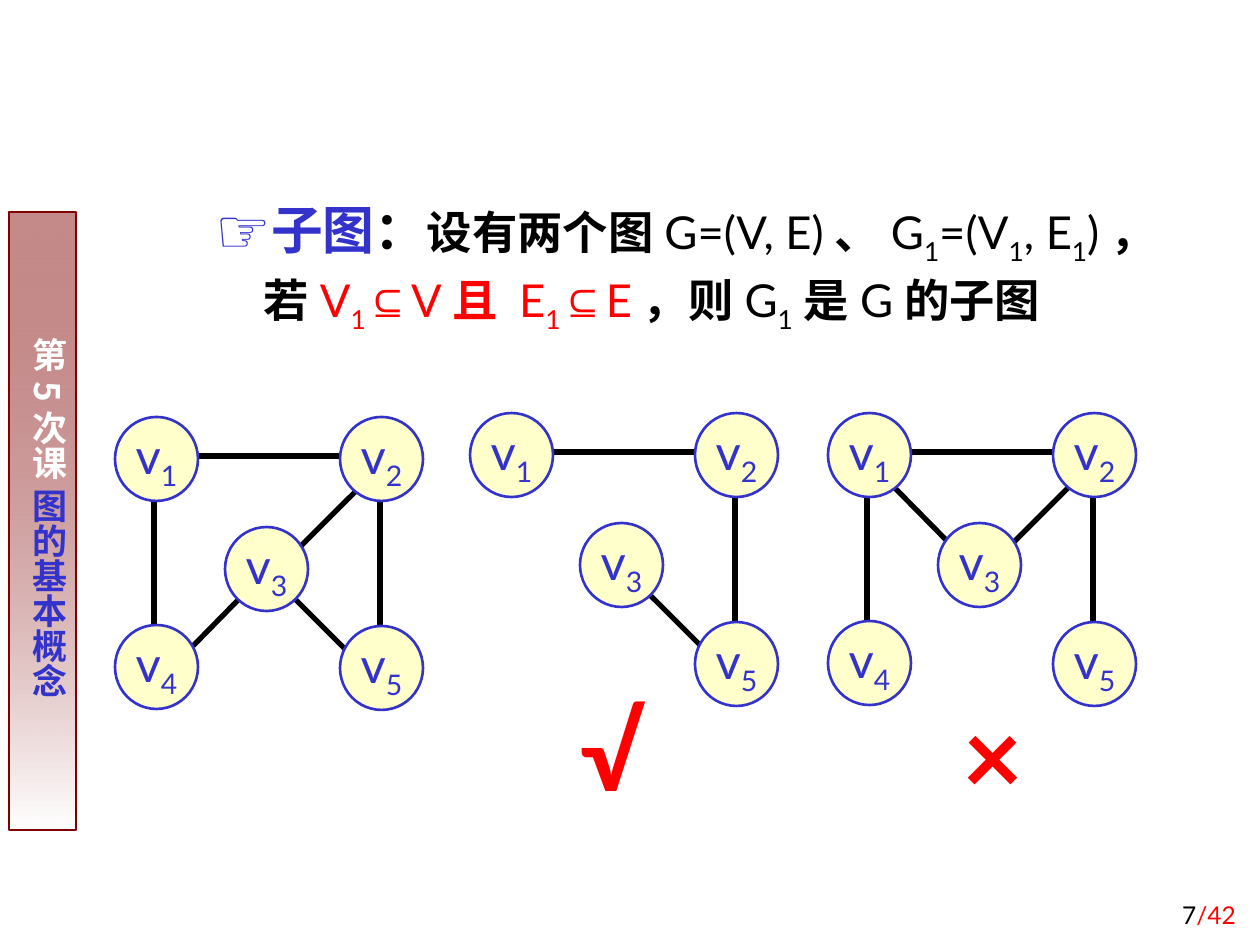
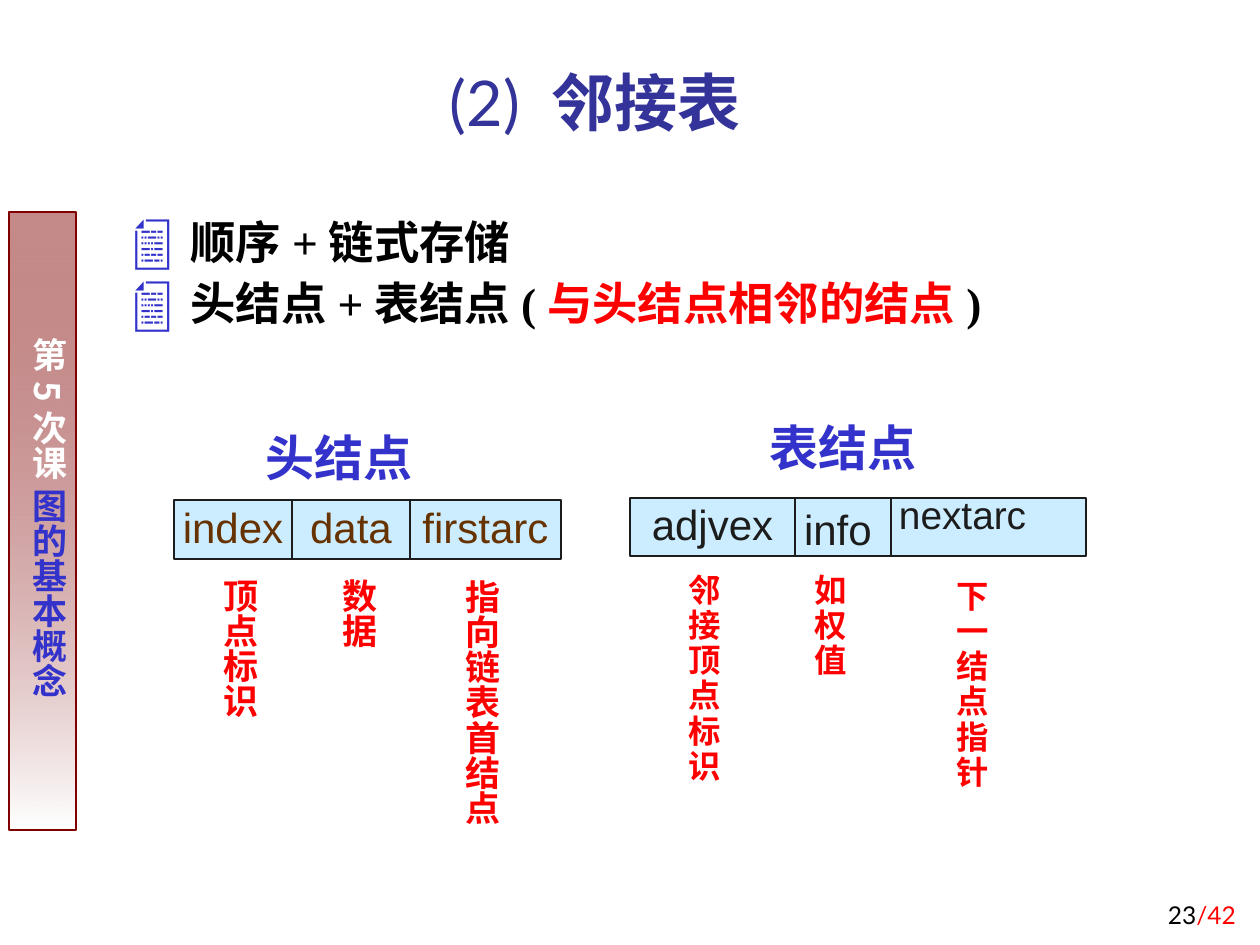
from lxml import etree
from pptx import Presentation
from pptx.dml.color import RGBColor
from pptx.enum.shapes import MSO_CONNECTOR, MSO_SHAPE
from pptx.enum.text import MSO_ANCHOR, MSO_AUTO_SIZE, PP_ALIGN
from pptx.oxml.ns import qn
from pptx.util import Pt

LEFT, CENTER, RIGHT = PP_ALIGN.LEFT, PP_ALIGN.CENTER, PP_ALIGN.RIGHT
TOP, MIDDLE, BOTTOM = MSO_ANCHOR.TOP, MSO_ANCHOR.MIDDLE, MSO_ANCHOR.BOTTOM
RECTANGLE, OVAL = MSO_SHAPE.RECTANGLE, MSO_SHAPE.OVAL
NO_AUTOSIZE = MSO_AUTO_SIZE.NONE
STRAIGHT = MSO_CONNECTOR.STRAIGHT
PX = 914400 / 126
rgb = RGBColor.from_string

LATO, ARIAL, TIMES, CJK = "Lato", "Arial", "Times New Roman", "Noto Sans CJK SC"
BLUE, RED, BLACK, WHITE = "3333CC", "FF0000", "000000", "FFFFFF"
TITLE_BLUE, MAROON, BROWN, CHARCOAL = "333399", "800000", "663300", "1C1C1C"
NODE_FILL, CELL_FILL = "FFFFCC", "CCECFF"


def add_run(paragraph, text, color, size, font=LATO, bold=False, subscript=False):
    run = paragraph.add_run()
    run.text = text
    run.font.size = Pt(size)
    run.font.bold = bold
    run.font.color.rgb = rgb(color)
    run.font.name = font
    properties = run.font._element
    etree.SubElement(properties, qn("a:ea"), typeface=CJK)
    if subscript:
        properties.set("baseline", "-25000")


def add_box(slide, at, kind=None, fill=None, line=None, width=0.75, anchor=TOP,
            align=LEFT, wrap=False, vertical=False, insets=(13, 6, 13, 6)):
    at = [round(value * PX) for value in at]
    if kind is None:
        shape = slide.shapes.add_textbox(*at)
    else:
        shape = slide.shapes.add_shape(kind, *at)
        shape.shadow.inherit = False
        shape.line.color.rgb = rgb(line)
        shape.line.width = Pt(width)
        if fill:
            shape.fill.solid()
            shape.fill.fore_color.rgb = rgb(fill)
    frame = shape.text_frame
    frame.auto_size = NO_AUTOSIZE
    frame.word_wrap = wrap
    frame.vertical_anchor = anchor
    frame.margin_left, frame.margin_top, frame.margin_right, frame.margin_bottom = [
        round(inset * PX) for inset in insets]
    if vertical:
        frame._txBody.bodyPr.set("vert", "eaVert")
    frame.paragraphs[0].alignment = align
    return shape


presentation = Presentation()
presentation.slide_width = round(1260 * PX)
presentation.slide_height = round(945 * PX)
content_layout = presentation.slide_layouts[1]
subgraph_slide = presentation.slides.add_slide(content_layout)
adjacency_slide = presentation.slides.add_slide(content_layout)

band = add_box(subgraph_slide, (9, 212, 67, 618), RECTANGLE, line=MAROON, wrap=True,
               vertical=True, insets=(6, 126, 6, 13))
band.fill.gradient()
band.fill.gradient_angle = 270
for stop, color, position in zip(band.fill.gradient_stops, (MAROON, WHITE), (0, 1)):
    stop.color.rgb = rgb(color)
    stop.position = position
first_color = band._element.spPr.find(".//" + qn("a:srgbClr"))
etree.SubElement(first_color, qn("a:alpha"), val="46000")
add_run(band.text_frame.paragraphs[0], "第5次课 ", WHITE, 20, CJK, True)
add_run(band.text_frame.paragraphs[0], "图的基本概念", BLUE, 20, CJK, True)
presentation.slide_master.shapes._spTree.append(band._element)

for slide, number in ((subgraph_slide, "7"), (adjacency_slide, "23")):
    page = add_box(slide, (987, 872, 262, 63), anchor=BOTTOM, align=RIGHT, wrap=True)
    add_run(page.text_frame.paragraphs[0], number, BLACK, 14)
    add_run(page.text_frame.paragraphs[0], "/42", RED, 14)

unused_title = subgraph_slide.shapes.title._element
unused_title.getparent().remove(unused_title)
title = adjacency_slide.shapes.title
title.left, title.top, title.width, title.height = [
    round(value * PX) for value in (213, 35, 764, 110)]
title.text_frame.auto_size = NO_AUTOSIZE
title.text_frame.vertical_anchor = BOTTOM
title.text_frame.paragraphs[0].alignment = CENTER
add_run(title.text_frame.paragraphs[0], "(2) ", TITLE_BLUE, 36)
add_run(title.text_frame.paragraphs[0], "邻接表", TITLE_BLUE, 36, CJK, True)

SIZE = 25.9
PLAIN, STRONG = (BLACK, SIZE, LATO), (BLACK, SIZE, LATO, True)
INDEX = (BLACK, SIZE, LATO, False, True)
RED_PLAIN, RED_STRONG = (RED, SIZE, LATO), (RED, SIZE, LATO, True)
RED_INDEX, RED_SYMBOL = (RED, SIZE, LATO, False, True), (RED, SIZE, ARIAL)
ITEM, RED_ITEM = (BLACK, SIZE, TIMES, True), (RED, SIZE, TIMES, True)
definition = [
    ("子图", (BLUE, 29.6, LATO, True)), ("：", (BLACK, 29.6, LATO, True)),
    ("设有两个图", STRONG), ("G=(V, E)", PLAIN), ("、", STRONG),
    ("G", PLAIN), ("1", INDEX), ("=(V", PLAIN), ("1", INDEX), (", E", PLAIN),
    ("1", INDEX), (")", PLAIN), ("，若", STRONG),
    ("V", RED_PLAIN), ("1", RED_INDEX), ("⊆", RED_SYMBOL), ("V", RED_PLAIN),
    ("且 ", RED_STRONG),
    ("E", RED_PLAIN), ("1", RED_INDEX), ("⊆", RED_SYMBOL), ("E", RED_PLAIN),
    ("，则", STRONG), ("G", PLAIN), ("1", INDEX), ("是", STRONG),
    ("G", PLAIN), ("的子图", STRONG),
]
storage = [("顺序+链式存储", ITEM)]
node_kinds = [("头结点+表结点(", ITEM), ("与头结点相邻的结点", RED_ITEM), (")", ITEM)]
bodies = [
    (subgraph_slide, (203, 185, 968, 198), "☞", 48, 1.1, [definition]),
    (adjacency_slide, (121, 214, 1036, 135), "📄", 57, 0.9, [storage, node_kinds]),
]
for slide, at, bullet, indent, spacing, items in bodies:
    body = slide.placeholders[1]
    body.left, body.top, body.width, body.height = [round(value * PX) for value in at]
    frame = body.text_frame
    frame.auto_size = NO_AUTOSIZE
    for position, item in enumerate(items):
        paragraph = frame.add_paragraph() if position else frame.paragraphs[0]
        properties = paragraph._p.get_or_add_pPr()
        properties.set("marL", str(round(indent * PX)))
        properties.set("indent", str(round(-indent * PX)))
        bullet_color = etree.SubElement(properties, qn("a:buClr"))
        etree.SubElement(bullet_color, qn("a:srgbClr"), val=BLUE)
        etree.SubElement(properties, qn("a:buSzPct"), val="120000")
        etree.SubElement(properties, qn("a:buFont"), typeface=ARIAL)
        etree.SubElement(properties, qn("a:buChar"), char=bullet)
        paragraph.line_spacing = spacing
        paragraph.space_before = Pt(7 if position else 0)
        for text, style in item:
            add_run(paragraph, text, *style)

node_offsets = {"1": (0, 0), "2": (225, 0), "3": (110, 110), "4": (0, 208), "5": (225, 209)}
edge_offsets = {
    "12": (78, 39, 225, 39), "13": (66, 74, 125, 134), "14": (39, 79, 39, 209),
    "23": (246, 69, 186, 129), "25": (265, 69, 265, 209),
    "34": (127, 179, 78, 229), "35": (178, 180, 237, 239),
}
graphs = [
    (115, 417, "12345", ("14", "12", "25", "34", "23", "35")),
    (470, 413, "1235", ("12", "25", "35")),
    (828, 413, "12345", ("14", "12", "25", "23", "13")),
]
for left, top, nodes, edges in graphs:
    for edge in edges:
        x1, y1, x2, y2 = edge_offsets[edge]
        ends = (left + x1, top + y1, left + x2, top + y2)
        connector = subgraph_slide.shapes.add_connector(
            STRAIGHT, *[round(value * PX) for value in ends])
        connector.line.color.rgb = rgb(BLACK)
        connector.line.width = Pt(3)
        etree.SubElement(connector._element.spPr, qn("a:effectLst"))
    for node in nodes:
        x, y = node_offsets[node]
        circle = add_box(subgraph_slide, (left + x, top + y, 83, 84), OVAL, NODE_FILL, BLUE,
                         1.5, MIDDLE, CENTER)
        add_run(circle.text_frame.paragraphs[0], "v", BLUE, 28)
        add_run(circle.text_frame.paragraphs[0], node, BLUE, 28, subscript=True)

for mark, at in (("√", (568, 681, 95, 139)), ("×", (949, 685, 84, 139))):
    verdict = add_box(subgraph_slide, at)
    add_run(verdict.text_frame.paragraphs[0], mark, RED, 60, bold=True)

records = [
    ("头结点", (253, 420, 173, 72), 174, 500, 59, BROWN,
     (("index", 118), ("data", 118), ("firstarc", 151))),
    ("表结点", (757, 410, 173, 72), 630, 498, 58, CHARCOAL,
     (("adjvex", 165), ("", 96), ("", 195))),
]
for heading, heading_at, left, top, height, color, fields in records:
    caption = add_box(adjacency_slide, heading_at, anchor=BOTTOM)
    add_run(caption.text_frame.paragraphs[0], heading, BLUE, 28, bold=True)
    for field, width in fields:
        cell = add_box(adjacency_slide, (left, top, width, height), RECTANGLE, CELL_FILL,
                       CHARCOAL, anchor=MIDDLE, align=CENTER, insets=(13, 0, 13, 6))
        if field:
            add_run(cell.text_frame.paragraphs[0], field, color, 24, ARIAL)
        left += width

for field, at, size, spacing, wrap in (("info", (791, 498, 93, 63), 24, 1.0, False),
                                       ("nextarc", (886, 490, 189, 63), 22.2, 0.9, True)):
    field_name = add_box(adjacency_slide, at, wrap=wrap)
    field_name.text_frame.paragraphs[0].line_spacing = spacing
    add_run(field_name.text_frame.paragraphs[0], field, CHARCOAL, size, ARIAL)

for meaning, at in (("顶点标识", (200, 566, 67, 165)), ("数据", (319, 566, 67, 96)),
                    ("指向链表首结点", (442, 567, 67, 270))):
    label = add_box(adjacency_slide, at, vertical=True, insets=(6, 13, 6, 13))
    add_run(label.text_frame.paragraphs[0], meaning, RED, 20, bold=True)

for lines, at in ((("邻接", "顶点标识"), (676, 569, 79, 265)),
                  (("如权值",), (802, 569, 74, 139)),
                  (("下一结", "点指针"), (943, 575, 59, 265))):
    frame = add_box(adjacency_slide, at, wrap=True).text_frame
    for position, line in enumerate(lines):
        paragraph = frame.add_paragraph() if position else frame.paragraphs[0]
        paragraph.line_spacing = 0.9
        add_run(paragraph, line, RED, 18.5, TIMES, True)

presentation.save("out.pptx")
